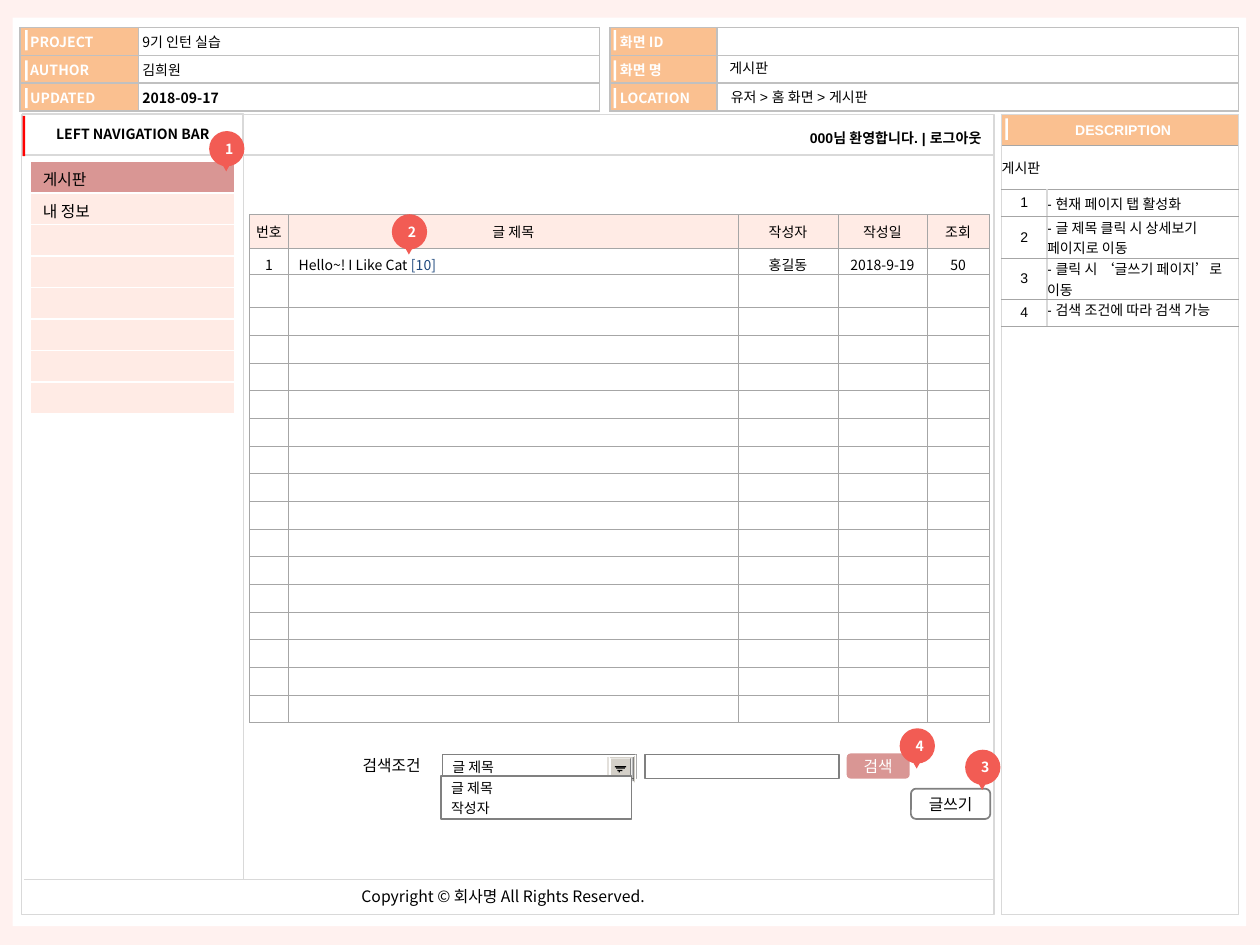
from lxml import etree
from pptx import Presentation
from pptx.dml.color import RGBColor
from pptx.enum.shapes import MSO_CONNECTOR, MSO_SHAPE
from pptx.enum.text import MSO_ANCHOR, PP_ALIGN
from pptx.oxml.ns import qn
from pptx.util import Inches, Pt

RECT, ROUND = MSO_SHAPE.RECTANGLE, MSO_SHAPE.ROUNDED_RECTANGLE
OVAL, TRIANGLE = MSO_SHAPE.OVAL, MSO_SHAPE.ISOSCELES_TRIANGLE
LEFT, CENTER, RIGHT = PP_ALIGN.LEFT, PP_ALIGN.CENTER, PP_ALIGN.RIGHT
TOP, MIDDLE = MSO_ANCHOR.TOP, MSO_ANCHOR.MIDDLE
NOTO, ARIAL = "Noto Sans CJK KR", "Arial"

COLORS = {
    "backdrop": "FFF1EF", "white": "FFFFFF", "black": "000000", "orange": "FAC090",
    "silver": "C0C0C0", "pale": "D9D9D9", "rule": "A6A6A6", "gray": "808080",
    "dark": "404040", "button": "D4D0C8", "rose": "D99694", "blush": "FFEBE5",
    "red": "FF0000", "badge": "F25C54", "navy": "1F497D",
}
RGB = {name: RGBColor.from_string(value) for name, value in COLORS.items()}

# size, font, colour, bold, alignment, anchor, insets (left, top, right, bottom)
FLUSH = (0, 0, 0, 0)
STYLES = {
    "label": (8, NOTO, "white", True, LEFT, MIDDLE, (0.08, 0, 0.03, 0)),
    "value": (8, NOTO, "black", False, LEFT, MIDDLE, (0.03, 0, 0.03, 0)),
    "value bold": (8, NOTO, "black", True, LEFT, MIDDLE, (0.03, 0, 0.03, 0)),
    "location": (8, ARIAL, "black", False, LEFT, TOP, (0.08, 0.04, 0.08, 0.04)),
    "welcome": (8, ARIAL, "black", True, RIGHT, TOP, (0.08, 0.04, 0.08, 0.04)),
    "notes title": (8, ARIAL, "white", True, CENTER, MIDDLE, (0.05, 0, 0, 0)),
    "note": (8, ARIAL, "black", False, LEFT, MIDDLE, FLUSH),
    "note top": (8, ARIAL, "black", False, LEFT, TOP, FLUSH),
    "note number": (8, ARIAL, "black", False, CENTER, MIDDLE, FLUSH),
    "nav title": (8, NOTO, "black", True, CENTER, MIDDLE, (0.1, 0.05, 0.1, 0.05)),
    "nav": (9, NOTO, "black", False, LEFT, TOP, (0.1, 0.05, 0.1, 0)),
    "heading": (8, NOTO, "black", False, CENTER, MIDDLE, FLUSH),
    "post": (8, NOTO, "black", False, CENTER, MIDDLE, (0.08, 0.04, 0.08, 0)),
    "post title": (8, NOTO, "black", False, LEFT, MIDDLE, (0.08, 0.04, 0.08, 0)),
    "caption": (9, NOTO, "black", False, LEFT, TOP, (0.1, 0.05, 0.1, 0.05)),
    "write button": (9, NOTO, "black", False, CENTER, MIDDLE, FLUSH),
    "search button": (9, NOTO, "white", False, CENTER, MIDDLE, FLUSH),
    "option": (8, NOTO, "black", False, LEFT, MIDDLE, (0.08, 0, 0.08, 0)),
    "badge": (8, NOTO, "white", True, CENTER, MIDDLE, (0.04, 0, 0, 0)),
}


def write(holder, text, style):
    """Put text into a shape or table cell and format it by a named style."""
    size, font, color, bold, align, anchor, insets = STYLES[style]
    frame = holder.text_frame
    frame.text = text
    target = holder if hasattr(holder, "margin_left") else frame
    target.margin_left, target.margin_top, target.margin_right, target.margin_bottom = map(Inches, insets)
    target.vertical_anchor = anchor
    for paragraph in frame.paragraphs:
        paragraph.alignment = align
        for run in paragraph.runs:
            run.font.size, run.font.name, run.font.bold = Pt(size), font, bold
            run.font.color.rgb = RGB[color]
            etree.SubElement(run.font._element, qn("a:ea"), typeface=NOTO)
        if not paragraph.runs:
            etree.SubElement(paragraph._p, qn("a:endParaRPr"), sz=str(size * 100))


def add_box(parent, kind, at, fill=None, line=None, width=0.75, text=None, style=None, wrap=True):
    """Add a preset shape, or a text box when kind is None."""
    place = [Inches(n) for n in at]
    if kind is None:
        box = parent.add_textbox(*place)
    else:
        box = parent.add_shape(kind, *place)
        box.shadow.inherit = False
        if fill:
            box.fill.solid()
            box.fill.fore_color.rgb = RGB[fill]
        else:
            box.fill.background()
        if line:
            box.line.color.rgb = RGB[line]
            box.line.width = Pt(width)
        else:
            box.line.fill.background()
    if text:
        write(box, text, style)
        box.text_frame.word_wrap = wrap
    return box


prs = Presentation()
prs.slide_width, prs.slide_height = Inches(10), Inches(7.5)
slide = prs.slides.add_slide(prs.slide_layouts[6])
slide.background.fill.solid()
slide.background.fill.fore_color.rgb = RGB["backdrop"]
shapes = slide.shapes
add_box(shapes, RECT, (0.1, 0.14, 9.79, 7.21), "white")

project = [[("PROJECT", "label"), ("9기 인턴 실습", "value")],
           [("AUTHOR", "label"), ("김희원", "value")],
           [("UPDATED", "label"), ("2018-09-17", "value bold")]]
screen = [[(name, "label"), ("", "value")] for name in ("화면 ID", "화면 명", "LOCATION")]
panel = [[("DESCRIPTION", "notes title")], [("", "note")]]
notes = [[("게시판", "note"), ("", "note")]]
for number, note in enumerate(["- 현재 페이지 탭 활성화", "- 글 제목 클릭 시 상세보기 페이지로 이동",
                               "- 클릭 시 ‘글쓰기 페이지’로 이동", "- 검색 조건에 따라 검색 가능"], 1):
    notes.append([(str(number), "note number"), (note, "note top" if number == 4 else "note")])
menu = [[(name, "nav")] for name in ["게시판", "내 정보"] + [""] * 6]
posts = [[(name, "heading") for name in ("번호", "글 제목", "작성자", "작성일", "조회")],
         [("1", "post"), ("Hello~! I Like Cat ", "post title"), ("홍길동", "post"),
          ("2018-9-19", "post"), ("50", "post")]]
posts += [[("", "heading")] * 5 for _ in range(16)]

# position, column widths, row heights, cells, fills (first cell, first row,
# first column, rest), side border, top and bottom border
tables = [
    ((0.16, 0.22), [0.94, 3.66], [0.22] * 3, project,
     ("orange", "white", "orange", "white"), ("silver", 1), ("silver", 1)),
    ((4.84, 0.22), [0.85, 4.14], [0.22] * 3, screen,
     ("orange", "white", "orange", "white"), ("silver", 1), ("silver", 1)),
    ((7.95, 0.91), [1.88], [0.25, 6.1], panel,
     ("orange", "orange", "white", "white"), ("pale", 1), ("pale", 1)),
    ((7.95, 1.15), [0.36, 1.52], [0.35, 0.22, 0.33, 0.29, 0.22], notes,
     ("white",) * 4, ("pale", 1), ("rule", 0.5)),
    ((0.24, 1.28), [1.62], [0.25] * 8, menu,
     ("rose", "rose", "blush", "blush"), ("white", 1), ("white", 1)),
    ((1.98, 1.7), [0.31, 3.57, 0.79, 0.71, 0.49], [0.27, 0.21, 0.26] + [0.22] * 15, posts,
     ("blush", "blush", None, None), ("rule", 0.25), ("rule", 0.25)),
]
for (left, top), widths, heights, rows, fills, side, level in tables:
    table = shapes.add_table(len(rows), len(widths), Inches(left), Inches(top),
                             Inches(sum(widths)), Inches(sum(heights))).table
    table.first_row = table.horz_banding = False
    for column, width in zip(table.columns, widths):
        column.width = Inches(width)
    for r, (row, height) in enumerate(zip(rows, heights)):
        table.rows[r].height = Inches(height)
        for c, (text, style) in enumerate(row):
            cell = table.cell(r, c)
            write(cell, text, style)
            fill = fills[2 * (r > 0) + (c > 0)]
            if fill:
                cell.fill.solid()
                cell.fill.fore_color.rgb = RGB[fill]
            else:
                cell.fill.background()
            for i, (edge, (color, points)) in enumerate(zip("LRTB", (side, side, level, level))):
                border = etree.Element(qn(f"a:ln{edge}"), w=str(Pt(points)))
                paint = etree.SubElement(border, qn("a:solidFill"))
                etree.SubElement(paint, qn("a:srgbClr"), val=COLORS[color])
                cell._tc.get_or_add_tcPr().insert(i, border)
    if rows is notes:
        table.cell(0, 0).merge(table.cell(0, 1))
    if rows is posts:
        replies = table.cell(1, 1).text_frame.paragraphs[0].add_run()
        replies.text = "[10]"
        replies.font.size, replies.font.name = Pt(8), NOTO
        replies.font.color.rgb = RGB["navy"]

for left in (0.2, 4.87):
    for top in (0.24, 0.48, 0.7):
        add_box(shapes, RECT, (left, top, 0.02, 0.16), "white")
add_box(shapes, RECT, (7.98, 0.94, 0.02, 0.17), "white")
add_box(shapes, None, (5.72, 0.66, 2.9, 0.2), text="유저 > 홈 화면 > 게시판", style="location")
add_box(shapes, None, (5.71, 0.43, 2.9, 0.2), text="게시판", style="location")

# Page frame, navigation heading and dividers
add_box(shapes, RECT, (0.17, 0.91, 7.72, 6.35), line="pale")
add_box(shapes, RECT, (0.18, 0.9, 1.75, 0.33), line="pale", text="LEFT NAVIGATION BAR", style="nav title")
add_box(shapes, RECT, (0.18, 0.92, 0.02, 0.32), "red")
for x1, y1, x2, y2, points in [(0.19, 6.98, 7.89, 6.98, 1), (1.93, 0.91, 1.93, 6.98, 0.75),
                               (1.93, 1.23, 7.89, 1.23, 1)]:
    divider = shapes.add_connector(MSO_CONNECTOR.STRAIGHT, *map(Inches, (x1, y1, x2, y2)))
    divider.line.color.rgb = RGB["pale"]
    divider.line.width = Pt(points)
    etree.SubElement(divider._element.spPr, qn("a:effectLst"))
add_box(shapes, None, (5.29, 0.99, 2.58, 0.22), text="000님 환영합니다. | 로그아웃", style="welcome")
add_box(shapes, None, (2.77, 6.99, 2.52, 0.25), text="Copyright © 회사명 All Rights Reserved.",
        style="caption", wrap=False)

# Search form
add_box(shapes, None, (2.78, 5.95, 0.71, 0.25), text="검색조건", style="caption", wrap=False)
add_box(shapes, RECT, (5.12, 5.99, 1.54, 0.19), "white", "gray")
add_box(shapes, ROUND, (6.72, 5.98, 0.5, 0.2), "rose", text="검색", style="search button")
add_box(shapes, ROUND, (7.23, 6.26, 0.63, 0.24), "white", "gray", 1, "글쓰기", "write button")
add_box(shapes, RECT, (3.51, 5.99, 1.54, 0.19), "white", "gray", text="글 제목", style="option")
arrow_button = shapes.add_group_shape().shapes
for color, *at in [
    ("white", 5.04, 5.99, 0.01, 0.24), ("button", 5.03, 6, 0.01, 0.21),
    ("dark", 5.02, 6.01, 0.01, 0.19), ("dark", 4.82, 6.19, 0.19, 0.01),
    ("button", 4.82, 6.01, 0.01, 0.18), ("button", 4.84, 6.01, 0.18, 0.01),
    ("gray", 5, 6.02, 0.01, 0.17), ("gray", 4.84, 6.18, 0.17, 0.01),
    ("white", 4.84, 6.02, 0.01, 0.16), ("white", 4.85, 6.02, 0.15, 0.01),
    ("button", 4.85, 6.02, 0.15, 0.15), ("black", 4.91, 6.12, 0.01, 0.01),
    ("black", 4.9, 6.11, 0.04, 0.01), ("black", 4.89, 6.09, 0.07, 0.01),
    ("black", 4.88, 6.08, 0.09, 0.01),
]:
    add_box(arrow_button, RECT, at, color)
options = add_box(shapes, RECT, (3.5, 6.16, 1.51, 0.34), "white", "gray",
                  text="글 제목\n작성자", style="option")
options.text_frame.paragraphs[1].space_before = Pt(2)

for number, left, top in [("3", 7.66, 5.95), ("1", 1.66, 1.04), ("2", 3.11, 1.7), ("4", 7.14, 5.78)]:
    badge = shapes.add_group_shape().shapes
    add_box(badge, OVAL, (left, top, 0.28, 0.28), "badge", text=number, style="badge")
    add_box(badge, TRIANGLE, (left + 0.09, top + 0.24, 0.09, 0.08), "badge").rotation = 180

prs.save("out.pptx")
